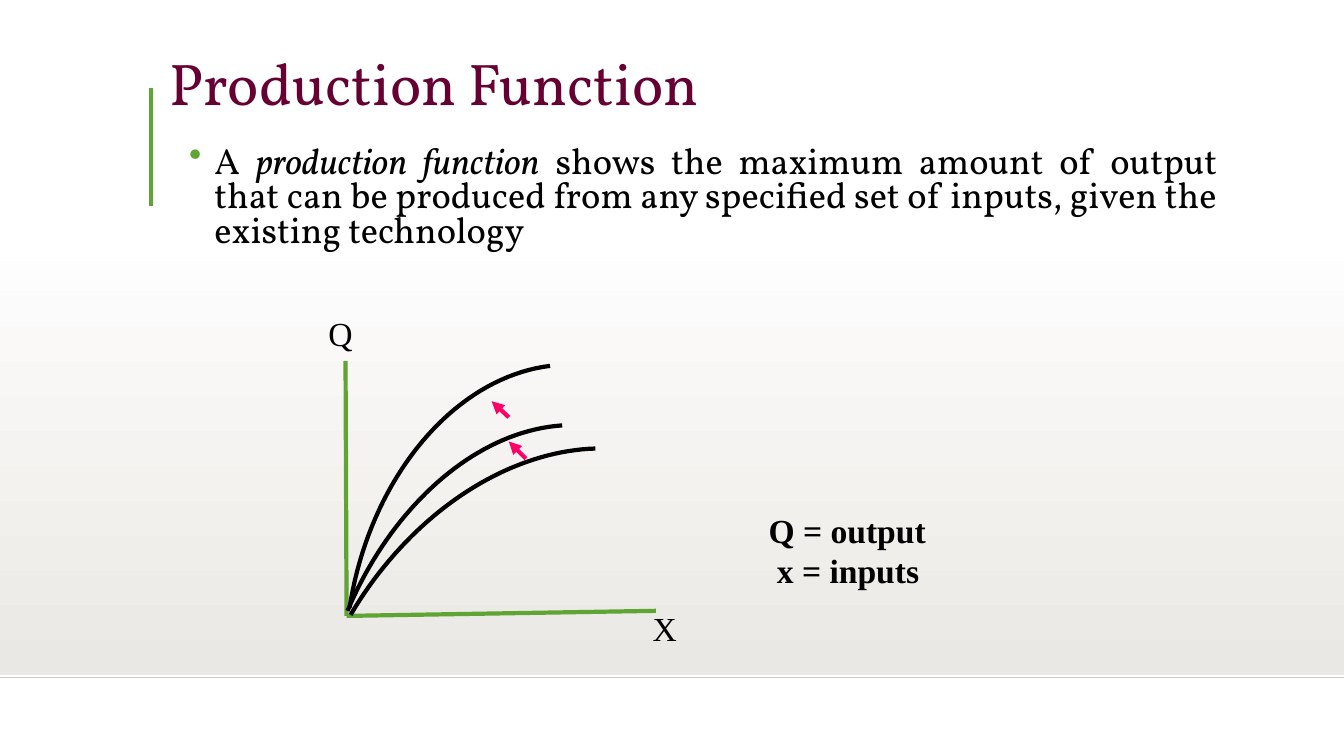
"""Build the production function slide, with lengths in percent of its size."""
from dataclasses import dataclass

from lxml import etree
from pptx import Presentation
from pptx import util as u
from pptx.dml.color import RGBColor
from pptx.enum import shapes, text
from pptx.oxml.ns import qn

WIDTH, HEIGHT = u.Inches(13.34), u.Inches(7.5)
GREEN, BLACK, PINK, PLUM = "5FA534", "000000", "FF0066", "660033"
SERIF, DISPLAY = "Times New Roman", "Vollkorn"
CURVE_STEPS = 40

Point = tuple[float, float]


@dataclass(frozen=True)
class Line:
    start: Point
    end: Point
    color: str = GREEN
    weight: float = 3
    arrow: bool = False


@dataclass(frozen=True)
class Curve:
    start: Point
    first_control: Point
    second_control: Point
    end: Point


@dataclass(frozen=True)
class Label:
    left: float
    top: float
    width: float
    height: float
    lines: tuple[str, ...]
    bold: bool = False
    last_indent: float = 0


FRAME_LINES = (
    Line((0, 89.6), (100, 89.6), "CBCAC7", 1),
    Line((11.24, 11.6), (11.24, 27.2)),
)
AXES = (
    Line((25.79, 81.47), (48.8, 80.8)),
    Line((25.71, 47.73), (25.79, 81.47)),
)
SHIFT_ARROWS = (
    Line((39.13, 60.67), (37.86, 58.4), PINK, arrow=True),
    Line((37.86, 55.2), (36.58, 53.07), PINK, arrow=True),
)
CURVES = (
    Curve((40.93, 48.4), (33.73, 50), (27.51, 63.33), (26.01, 80.4)),
    Curve((41.83, 56.27), (35.16, 57.1), (29.01, 67.47), (25.86, 80.8)),
    Curve((44.3, 59.33), (37.48, 59.73), (30.43, 68.27), (26.09, 81.33)),
)
LABELS = (
    Label(47.83, 79.73, 3.3, 6.67, ("X",)),
    Label(23.69, 40.67, 3.3, 6.67, ("Q",)),
    Label(56.45, 66.8, 19.49, 12, ("Q = output", "x = inputs"), True, 0.62),
)
DEFINITION = (
    ("A ", False),
    ("production function", True),
    (" shows the maximum amount of output that can be produced from any "
     "specified set of inputs, given the existing technology", False),
)


def across(share: float) -> int:
    """Turn a percentage of the slide width into a length."""
    return round(WIDTH * share / 100)


def down(share: float) -> int:
    """Turn a percentage of the slide height into a length."""
    return round(HEIGHT * share / 100)


def paint(target, color: str) -> None:
    """Set a colour format from a hex string."""
    target.rgb = RGBColor.from_string(color)


def place(box, left: float, top: float, width: float, height: float) -> None:
    """Move and size a shape."""
    box.left, box.top = across(left), down(top)
    box.width, box.height = across(width), down(height)


def add_span(para, words: str, *, size: float, font: str, color: str = BLACK,
             bold: bool = False, italic: bool = False) -> None:
    """Add a formatted span of text to a paragraph."""
    span = para.add_run()
    span.text = words
    span.font.size, span.font.name = u.Pt(size), font
    span.font.bold, span.font.italic = bold, italic
    paint(span.font.color, color)


def add_text_box(page, left: float, top: float, width: float, height: float):
    """Add a wrapping text box and return its text frame."""
    box = page.shapes.add_textbox(across(left), down(top), across(width), down(height))
    box.text_frame.word_wrap = True
    return box.text_frame


def add_band(page) -> None:
    """Add the gradient band behind the content."""
    band = page.shapes.add_shape(
        shapes.MSO_SHAPE.RECTANGLE, 0, down(29.33), WIDTH, down(60))
    band.shadow.inherit = False
    band.line.fill.background()
    band.fill.gradient()
    band.fill.gradient_angle = 270
    for stop, color in zip(band.fill.gradient_stops, ("FFFFFF", "EAE8E4")):
        paint(stop.color, color)


def add_line(page, line: Line) -> None:
    """Add a straight line, with an arrowhead if asked for."""
    connector = page.shapes.add_connector(
        shapes.MSO_CONNECTOR.STRAIGHT, across(line.start[0]), down(line.start[1]),
        across(line.end[0]), down(line.end[1]))
    paint(connector.line.color, line.color)
    connector.line.width = u.Pt(line.weight)
    properties = connector._element.spPr
    if line.arrow:
        outline = properties.find(qn("a:ln"))
        etree.SubElement(outline, qn("a:tailEnd"), type="triangle")
    etree.SubElement(properties, qn("a:effectLst"))


def curve_point(curve: Curve, t: float) -> tuple[int, int]:
    """Find a point of a cubic curve."""
    weights = ((1 - t) ** 3, 3 * t * (1 - t) ** 2, 3 * t ** 2 * (1 - t), t ** 3)
    points = (curve.start, curve.first_control, curve.second_control, curve.end)
    x, y = (sum(w * p[axis] for w, p in zip(weights, points)) for axis in (0, 1))
    return across(x), down(y)


def add_curve(page, curve: Curve) -> None:
    """Add an open production curve."""
    points = [curve_point(curve, step / CURVE_STEPS) for step in range(CURVE_STEPS + 1)]
    builder = page.shapes.build_freeform(*points[0])
    builder.add_line_segments(points[1:], close=False)
    shape = builder.convert_to_shape()
    shape.shadow.inherit = False
    shape.fill.background()
    paint(shape.line.color, BLACK)
    shape.line.width = u.Pt(3)


def add_label(page, label: Label) -> None:
    """Add a label of one or more lines."""
    frame = add_text_box(page, label.left, label.top, label.width, label.height)
    for index, words in enumerate(label.lines):
        para = frame.add_paragraph() if index else frame.paragraphs[0]
        add_span(para, words, size=24, font=SERIF, bold=label.bold)
    if label.last_indent:
        para._p.get_or_add_pPr().set("marL", str(across(label.last_indent)))


def add_title(page) -> None:
    """Place and format the title."""
    title = page.shapes.title
    place(title, 11.84, 0.93, 78.04, 15.33)
    frame = title.text_frame
    frame.vertical_anchor = text.MSO_ANCHOR.BOTTOM
    frame.auto_size = text.MSO_AUTO_SIZE.NONE
    para = frame.paragraphs[0]
    para.alignment, para.line_spacing = text.PP_ALIGN.LEFT, 0.9
    add_span(para, "Production Function", size=42, font=DISPLAY, color=PLUM)


def add_definition(page) -> None:
    """Add the bulleted definition."""
    para = add_text_box(page, 13.34, 18.67, 78.04, 26.4).paragraphs[0]
    para.alignment, para.line_spacing = text.PP_ALIGN.JUSTIFY, 0.8
    properties = para._p.get_or_add_pPr()
    properties.set("marL", str(u.Inches(0.25)))
    properties.set("indent", str(-u.Inches(0.25)))
    bullet_color = etree.SubElement(properties, qn("a:buClr"))
    etree.SubElement(bullet_color, qn("a:srgbClr"), val=GREEN)
    etree.SubElement(properties, qn("a:buChar"), char="•")
    for words, italic in DEFINITION:
        add_span(para, words, size=26, font=DISPLAY, italic=italic)


def main() -> None:
    """Build and save the deck."""
    deck = Presentation()
    deck.slide_width, deck.slide_height = WIDTH, HEIGHT
    page = deck.slides.add_slide(deck.slide_layouts[5])
    add_band(page)
    add_title(page)
    add_definition(page)
    for line in FRAME_LINES + AXES:
        add_line(page, line)
    for curve in CURVES:
        add_curve(page, curve)
    for arrow in SHIFT_ARROWS:
        add_line(page, arrow)
    for label in LABELS:
        add_label(page, label)
    deck.save("out.pptx")


if __name__ == "__main__":
    main()
